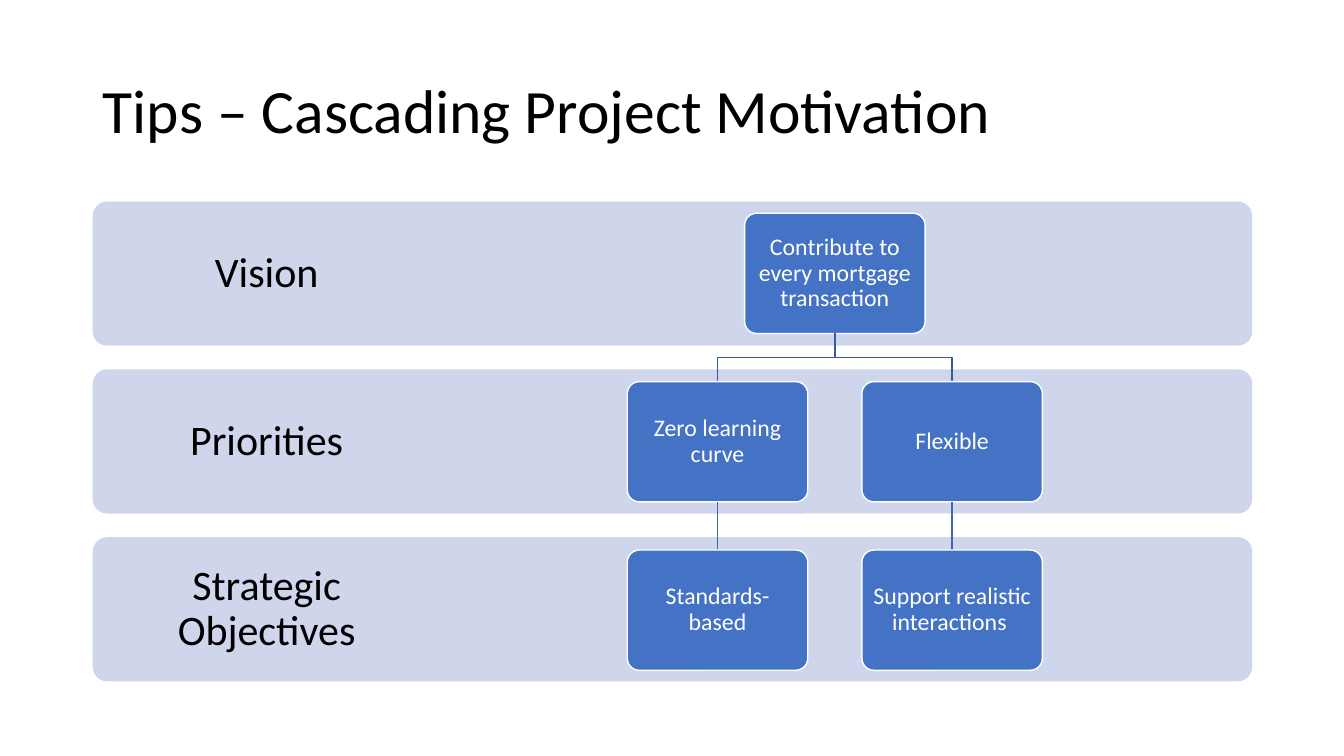
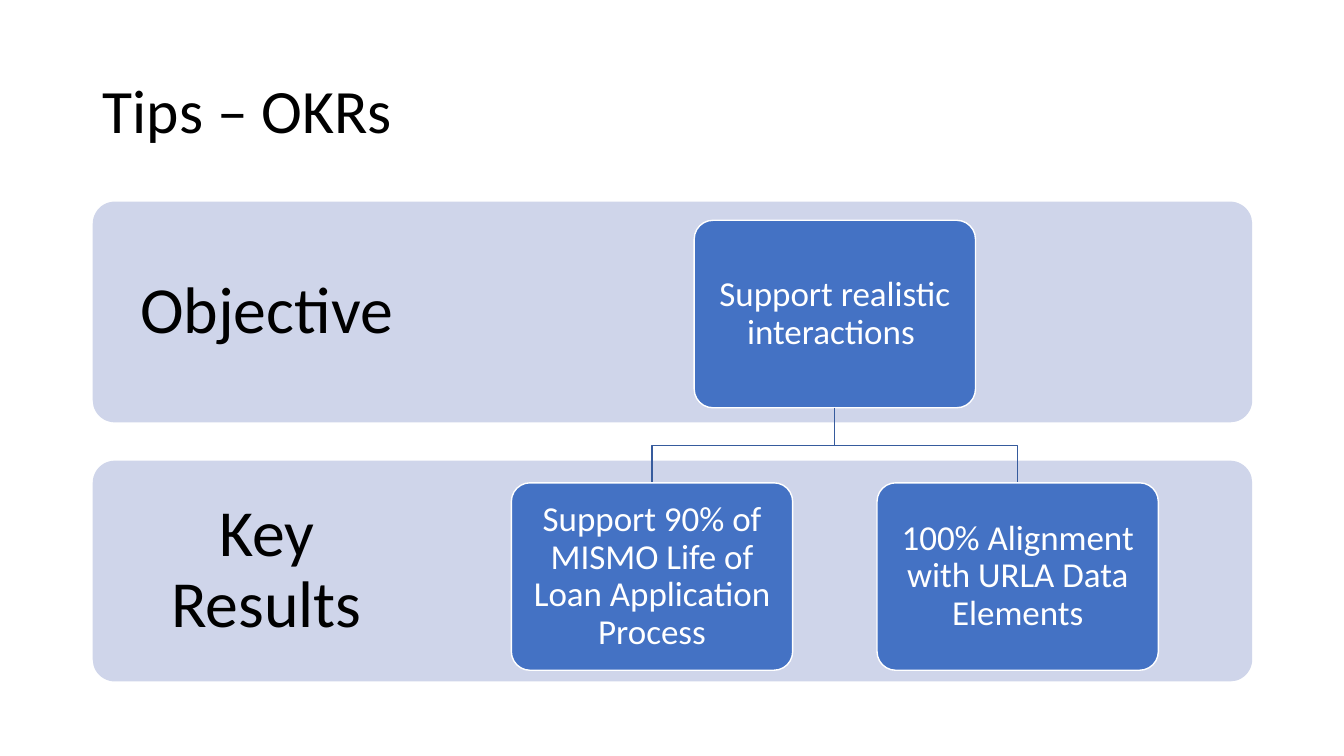
from pptx import Presentation
from pptx.dml.color import RGBColor
from pptx.enum import shapes, text
from pptx.oxml.ns import qn
from pptx.util import Inches, Pt

FONT = "Calibri"
BLACK, WHITE = "000000", "FFFFFF"
BAND, BOX = "CFD5EA", "4472C4"
BRANCH, STEM = "365B9D", "3E67B2"

LEFT, WIDTH = 0.92, 11.5
BANDS_TOP, BANDS_BOTTOM = 2.0, 6.76
LABEL_SHARE = 0.3
TREE_CENTER, TREE_BOTTOM = 8.28, 6.65
BOX_ASPECT = 2 / 3      # height of a box / width
COLUMN_PITCH = 1.3      # in box widths
ROW_PITCH = 1.4         # in box heights

# A node is (row, column offset from the centre, parent's index, text).
SLIDES = [
    {
        "title": "Tips – Cascading Project Motivation",
        "bands": ["Vision", "Priorities", "Strategic Objectives"],
        "band_height": 1.43, "label_size": 30, "label_inset": 0.23,
        "box_width": 1.79, "box_size": 17, "box_inset": 0.07,
        "nodes": [
            (0, 0, None, "Contribute to every mortgage transaction"),
            (1, -0.5, 0, "Zero learning curve"),
            (2, -0.5, 1, "Standards-based"),
            (1, 0.5, 0, "Flexible"),
            (2, 0.5, 3, "Support realistic interactions "),
        ],
    },
    {
        "title": "Tips – OKRs",
        "bands": ["Objective", "Key Results"],
        "band_height": 2.19, "label_size": 47, "label_inset": 0.37,
        "box_width": 2.79, "box_size": 25, "box_inset": 0.1,
        "nodes": [
            (0, 0, None, "Support realistic interactions "),
            (1, -0.5, 0, "Support 90% of MISMO Life of Loan Application Process"),
            (1, 0.5, 0, "100% Alignment with URLA Data Elements"),
        ],
    },
]


def rgb(color):
    return RGBColor.from_string(color)


def write(shape, words, size, color=BLACK, align=text.PP_ALIGN.CENTER, inset=0.1):
    frame = shape.text_frame
    frame.word_wrap = True
    frame.auto_size = text.MSO_AUTO_SIZE.NONE
    frame.vertical_anchor = text.MSO_ANCHOR.MIDDLE
    frame.margin_left = frame.margin_right = Inches(inset)
    frame.margin_top = frame.margin_bottom = Inches(inset)
    para = frame.paragraphs[0]
    para.alignment = align
    para.line_spacing = 0.9
    span = para.add_run()
    span.text = words
    span.font.name, span.font.size = FONT, Pt(size)
    span.font.color.rgb = rgb(color)


def add_rounded(page, x, y, width, height, fill, line=None):
    shape = page.shapes.add_shape(
        shapes.MSO_SHAPE.ROUNDED_RECTANGLE, *map(Inches, (x, y, width, height)))
    shape.adjustments[0] = 0.1
    shape.shadow.inherit = False
    shape.fill.solid()
    shape.fill.fore_color.rgb = rgb(fill)
    if line:
        shape.line.color.rgb = rgb(line)
        shape.line.width = Pt(1)
    else:
        shape.line.fill.background()
    return shape


def add_bands(page, content):
    labels, height = content["bands"], content["band_height"]
    pitch = (BANDS_BOTTOM - BANDS_TOP - height) / (len(labels) - 1)
    for row, label in enumerate(labels):
        top = BANDS_TOP + row * pitch
        add_rounded(page, LEFT, top, WIDTH, height, BAND)
        box = page.shapes.add_textbox(
            *map(Inches, (LEFT, top, WIDTH * LABEL_SHARE, height)))
        write(box, label, content["label_size"], inset=content["label_inset"])


def add_link(page, start, end):
    """Join two points: straight down, or by an elbow at half height."""
    x1, y1, x2, y2 = map(Inches, (*start, *end))
    if x1 == x2:
        link = page.shapes.add_connector(
            shapes.MSO_CONNECTOR.STRAIGHT, x1, y1, x2, y2)
        link._element.spPr.append(link._element.makeelement(qn("a:effectLst"), {}))
        color = STEM
    else:
        middle = (y1 + y2) // 2
        builder = page.shapes.build_freeform(x1, y1)
        builder.add_line_segments([(x1, middle), (x2, middle), (x2, y2)], close=False)
        link = builder.convert_to_shape()
        link.shadow.inherit = False
        link.fill.background()
        color = BRANCH
    link.line.color.rgb = rgb(color)
    link.line.width = Pt(1)


def add_tree(page, content):
    width = content["box_width"]
    height = width * BOX_ASPECT
    last_row = max(node[0] for node in content["nodes"])
    top = TREE_BOTTOM - height * (1 + last_row * ROW_PITCH)
    places = [
        (TREE_CENTER + column * width * COLUMN_PITCH, top + row * height * ROW_PITCH)
        for row, column, _, _ in content["nodes"]
    ]
    for (center, y), (_, _, parent, words) in zip(places, content["nodes"]):
        if parent is not None:
            parent_center, parent_top = places[parent]
            add_link(page, (parent_center, parent_top + height), (center, y))
        box = add_rounded(page, center - width / 2, y, width, height, BOX, WHITE)
        write(box, words, content["box_size"], WHITE, inset=content["box_inset"])


def main():
    deck = Presentation()
    deck.slide_width, deck.slide_height = Inches(13.33), Inches(7.5)
    layout = deck.slide_layouts.get_by_name("Title Only")
    heading = layout.placeholders[0]
    heading.left, heading.top = Inches(LEFT), Inches(0.4)
    heading.width, heading.height = Inches(WIDTH), Inches(1.45)
    for content in SLIDES:
        page = deck.slides.add_slide(layout)
        write(page.shapes.title, content["title"], 44, align=text.PP_ALIGN.LEFT)
        add_bands(page, content)
        add_tree(page, content)
    deck.save("out.pptx")


if __name__ == "__main__":
    main()
